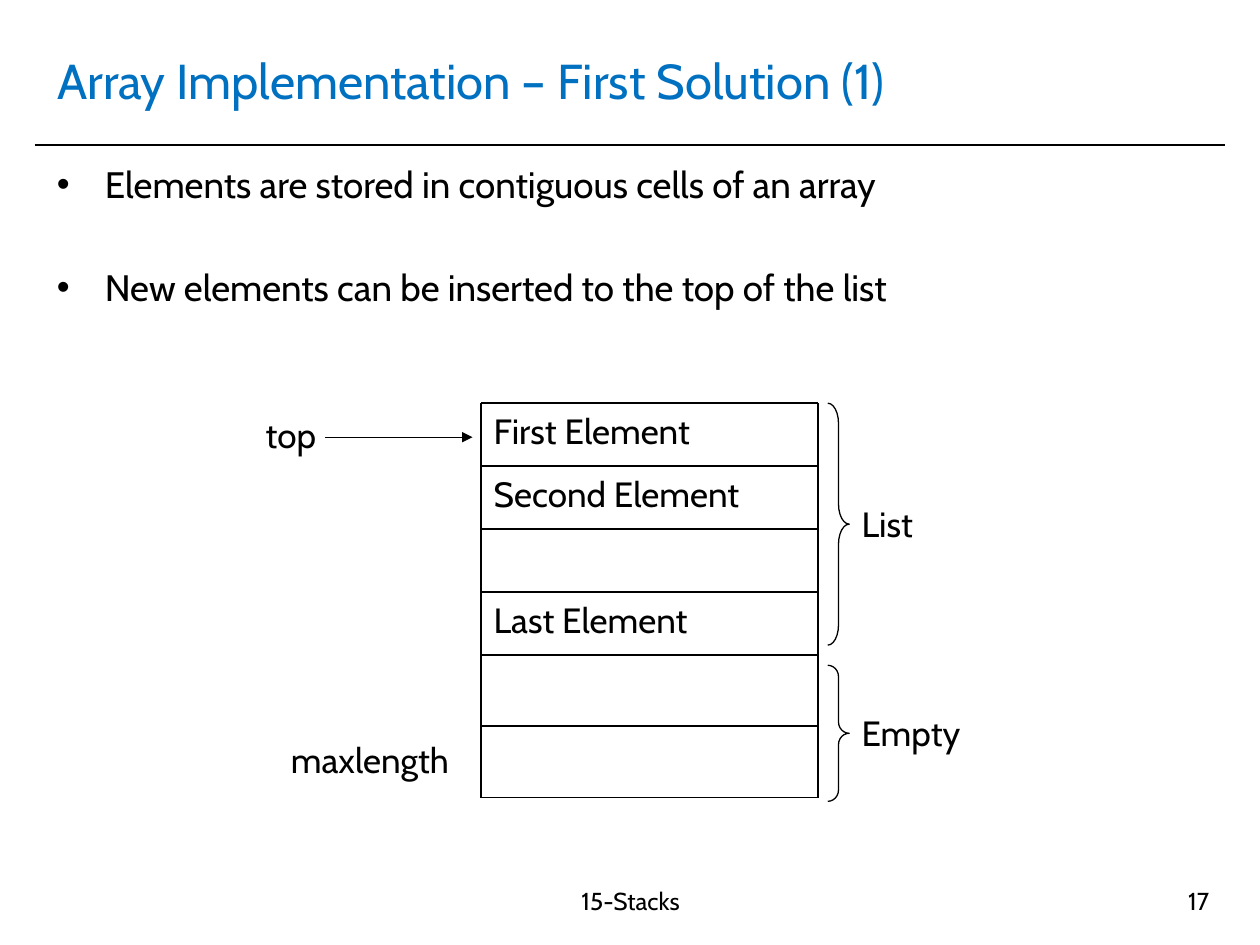
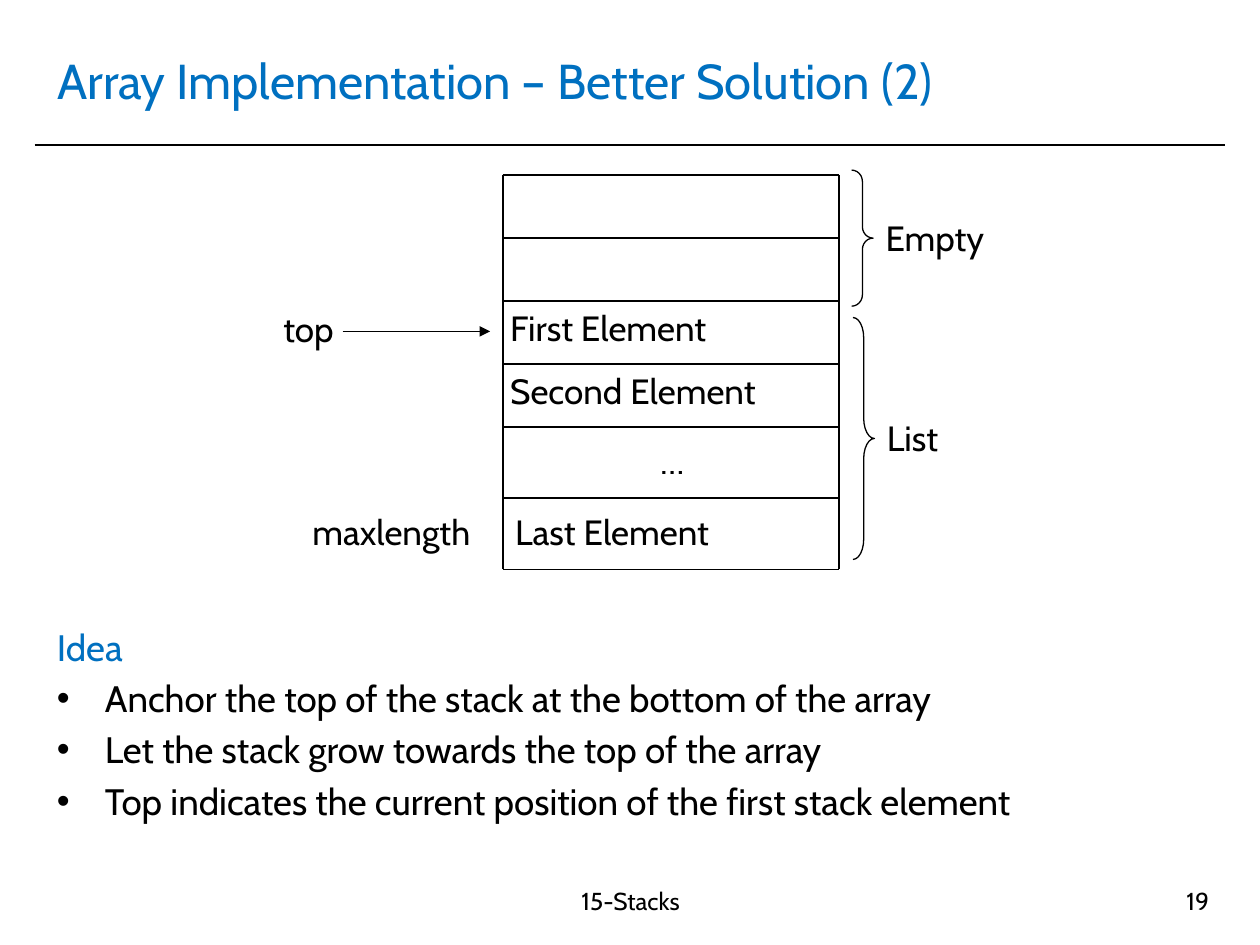
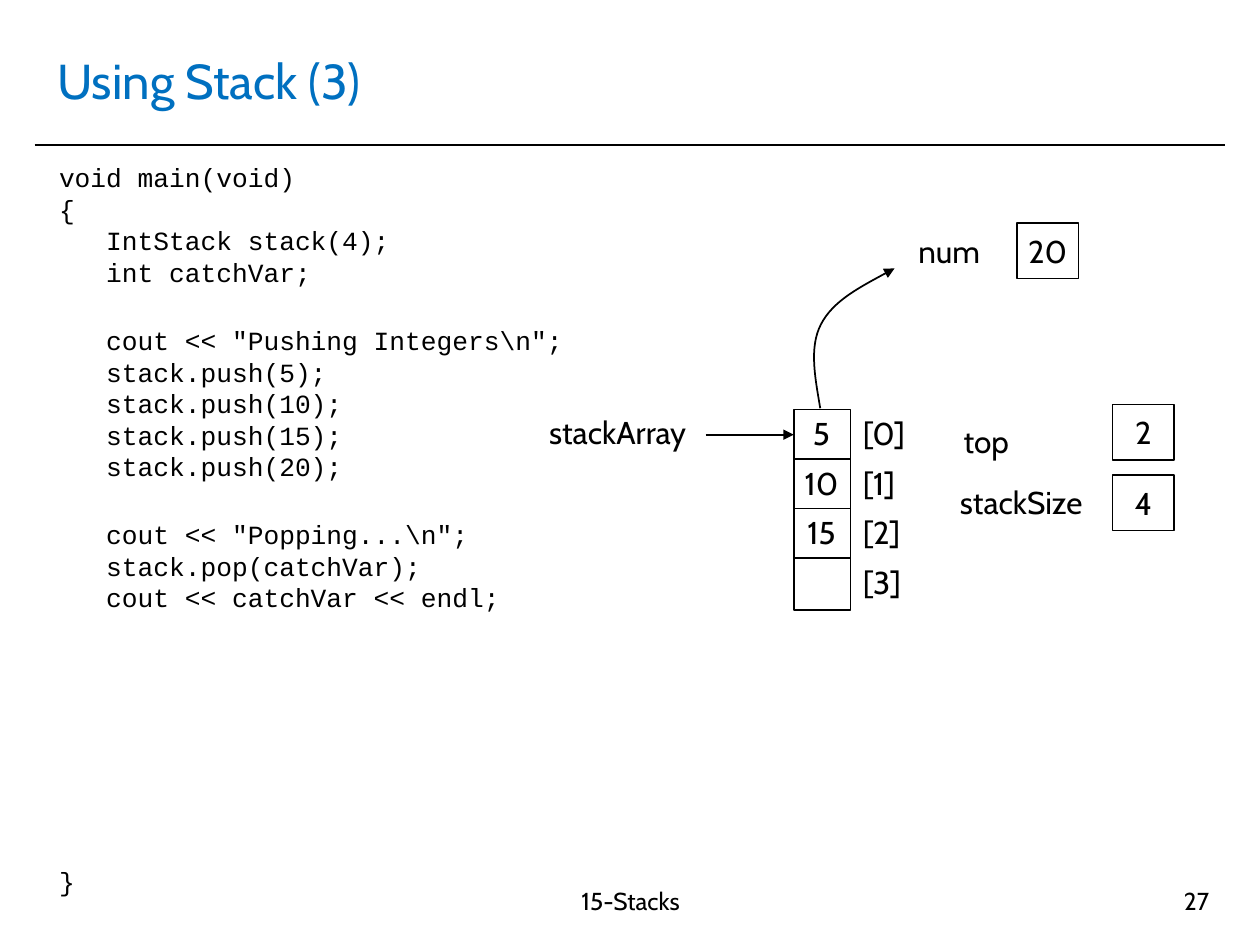
from dataclasses import dataclass
from itertools import accumulate

from lxml.etree import SubElement
from pptx import Presentation
from pptx.dml.color import RGBColor
from pptx.enum.shapes import MSO_CONNECTOR, MSO_SHAPE
from pptx.enum.text import MSO_ANCHOR, MSO_AUTO_SIZE, PP_ALIGN
from pptx.oxml.ns import qn
from pptx.shapes.autoshape import Shape
from pptx.shapes.connector import Connector
from pptx.slide import Slide
from pptx.text.text import TextFrame
from pptx.util import Inches, Pt

SLIDE_WIDTH, SLIDE_HEIGHT = Inches(10), Inches(7.5)
COLUMN, ROW = SLIDE_WIDTH / 100, SLIDE_HEIGHT / 75

BLACK, BLUE = "000000", "0070C0"
BODY_FONT, CODE_FONT = "Cabin", "Courier New"
TITLE_SIZE, BODY_SIZE, LABEL_SIZE = 28, 21, 20
SMALL_LABEL_SIZE, CODE_SIZE, FOOTER_SIZE = 18, 15, 14
CODE_LINE_PITCH = 18
BODY_GAP = 4.2
WIDE_BODY_GAP = 33.6
HANGING_INDENT = Inches(0.38)

ARRAY_WIDTH = 26.7
ARRAY_ROW_HEIGHTS = (5, 5, 5, 5, 5.6, 5.7)
BRACE_WIDTH = 1.7
LABEL_HEIGHT = 4.4

STACK_LEFT, STACK_TOP = 63, 32.5
STACK_WIDTH, STACK_HEIGHT = 4.5, 15.9
STACK_PITCH = 3.93
STACK_VALUES = ("5", "10", "15", "")


@dataclass(frozen=True)
class Area:
    """A rectangle in grid columns and rows."""
    left: float
    top: float
    width: float
    height: float

    def emu(self) -> tuple[int, int, int, int]:
        return (round(self.left * COLUMN), round(self.top * ROW),
                round(self.width * COLUMN), round(self.height * ROW))


@dataclass(frozen=True)
class TextStyle:
    size: float
    color: str = BLACK
    font: str = BODY_FONT
    align: PP_ALIGN = PP_ALIGN.LEFT


@dataclass(frozen=True)
class BodyLine:
    text: str
    bullet: bool = True
    color: str = BLACK
    gap: float = BODY_GAP


@dataclass(frozen=True)
class ArrayCell:
    """A cell's text and its shift from the cell's corner."""
    text: str = ""
    shift_right: float = 0
    shift_down: float = 0
    align: PP_ALIGN = PP_ALIGN.LEFT


@dataclass(frozen=True)
class Brace:
    text: str
    left: float
    top: float
    height: float


@dataclass(frozen=True)
class ArrayDiagram:
    left: float
    top: float
    cells: tuple[ArrayCell, ...]
    braces: tuple[Brace, ...]
    top_label: tuple[float, float]


@dataclass(frozen=True)
class Variable:
    name: str
    name_left: float
    name_top: float
    value: str
    box_left: float
    box_top: float


TITLE_AREA = Area(3.54, 2.1, 92.9, 8.5)
LABEL_STYLE = TextStyle(LABEL_SIZE)
SMALL_LABEL_STYLE = TextStyle(SMALL_LABEL_SIZE)
VALUE_STYLE = TextStyle(SMALL_LABEL_SIZE, align=PP_ALIGN.CENTER)

FIRST_ARRAY = ArrayDiagram(
    38.2, 32,
    (ArrayCell("First Element"), ArrayCell("Second Element"), ArrayCell(),
     ArrayCell("Last Element"), ArrayCell(), ArrayCell()),
    (Brace("List", 65.7, 32, 19.2), Brace("Empty", 65.7, 52.8, 10.8)),
    (20.1, 32.3))
BETTER_ARRAY = ArrayDiagram(
    39.9, 13.9,
    (ArrayCell(), ArrayCell(), ArrayCell("First Element", -0.4, -0.1),
     ArrayCell("Second Element", -0.4, -0.1),
     ArrayCell("…", 0.1, 0.5, PP_ALIGN.CENTER),
     ArrayCell("Last Element", 0, 0.5)),
    (Brace("Empty", 67.6, 13.5, 10.8), Brace("List", 67.7, 25.2, 19.2)),
    (21.5, 23.9))

FIRST_POINTS = (
    BodyLine("Elements are stored in contiguous cells of an array"),
    BodyLine("New elements can be inserted to the top of the list",
             gap=WIDE_BODY_GAP))
BETTER_POINTS = (
    BodyLine("Idea", bullet=False, color=BLUE),
    BodyLine("Anchor the top of the stack at the bottom of the array"),
    BodyLine("Let the stack grow towards the top of the array"),
    BodyLine("Top indicates the current position of the first stack element"))

# Each block of code with the space before it in points.
CODE_BLOCKS = (
    (0, ("void main(void)",
         "{",
         "   IntStack stack(4);",
         "   int catchVar;")),
    (21, ('   cout << "Pushing Integers\\n";',
          "   stack.push(5);",
          "   stack.push(10);",
          "   stack.push(15);",
          "   stack.push(20);")),
    (21, ('   cout << "Popping...\\n";',
          "   stack.pop(catchVar);",
          "   cout << catchVar << endl;")),
    (144, ("}",)))

VARIABLES = (Variable("num", 71.9, 17.9, "20", 80.7, 17.7),
             Variable("top", 75.5, 33, "2", 88.3, 32.1),
             Variable("stackSize", 75.2, 37.85, "4", 88.3, 37.7))
POP_CURVE = ((65.1, 32.4), (64.7, 30), (64.2, 27.6), (65.15, 25.75),
             (66.1, 23.9), (68.6, 22.6), (71, 21.3))


def rgb(color: str) -> RGBColor:
    return RGBColor.from_string(color)


def format_text(frame: TextFrame, style: TextStyle) -> None:
    for para in frame.paragraphs:
        para.alignment = style.align
        for span in para.runs:
            span.font.size = Pt(style.size)
            span.font.name = style.font
            span.font.color.rgb = rgb(style.color)


def add_text(page: Slide, area: Area, text: str, style: TextStyle) -> TextFrame:
    frame = page.shapes.add_textbox(*area.emu()).text_frame
    frame.word_wrap = True
    frame.text = text
    format_text(frame, style)
    return frame


def outline(shape: Shape, weight: float) -> None:
    """Leave only a black outline on the shape."""
    shape.shadow.inherit = False
    shape.fill.background()
    shape.line.color.rgb = rgb(BLACK)
    shape.line.width = Pt(weight)


def add_outlined(page: Slide, kind: MSO_SHAPE, area: Area, weight: float) -> Shape:
    shape = page.shapes.add_shape(kind, *area.emu())
    outline(shape, weight)
    return shape


def add_arrowhead(shape: Shape | Connector) -> None:
    SubElement(shape.line._get_or_add_ln(), qn("a:tailEnd"), type="triangle")


def add_line(page: Slide, left: float, top: float, across: float = 0,
             down: float = 0, weight: float = 1, arrow: bool = False) -> None:
    x, y, width, height = Area(left, top, across, down).emu()
    line = page.shapes.add_connector(
        MSO_CONNECTOR.STRAIGHT, x, y, x + width, y + height)
    line.line.color.rgb = rgb(BLACK)
    line.line.width = Pt(weight)
    if arrow:
        add_arrowhead(line)
    SubElement(line._element.spPr, qn("a:effectLst"))


def add_page(deck: Presentation, title: str, number: int) -> Slide:
    page = deck.slides.add_slide(deck.slide_layouts.get_by_name("Title Only"))
    heading = page.shapes.title
    heading.left, heading.top, heading.width, heading.height = TITLE_AREA.emu()
    frame = heading.text_frame
    frame.text = title
    frame.auto_size = MSO_AUTO_SIZE.NONE
    frame.vertical_anchor = MSO_ANCHOR.MIDDLE
    format_text(frame, TextStyle(TITLE_SIZE, BLUE))
    add_line(page, 2.75, 11.5, across=94.5)
    add_text(page, Area(33.5, 69.8, 33.1, 5.2), "15-Stacks",
             TextStyle(FOOTER_SIZE, align=PP_ALIGN.CENTER))
    add_text(page, Area(73.65, 69.8, 23.3, 5.2), str(number),
             TextStyle(FOOTER_SIZE, align=PP_ALIGN.RIGHT))
    return page


def add_body(page: Slide, area: Area, lines: tuple[BodyLine, ...]) -> None:
    frame = add_text(page, area, "\n".join(line.text for line in lines),
                     TextStyle(BODY_SIZE))
    for index, (para, line) in enumerate(zip(frame.paragraphs, lines)):
        if line.bullet:
            properties = para._p.get_or_add_pPr()
            properties.set("marL", str(HANGING_INDENT))
            properties.set("indent", str(-HANGING_INDENT))
            bullet_color = SubElement(properties, qn("a:buClr"))
            SubElement(bullet_color, qn("a:srgbClr"), val=BLACK)
            SubElement(properties, qn("a:buFont"), typeface="Arial")
            SubElement(properties, qn("a:buChar"), char="•")
        if index:
            para.space_before = Pt(line.gap)
        para.runs[0].font.color.rgb = rgb(line.color)


def add_brace(page: Slide, brace: Brace) -> None:
    """Draw a right brace with its label beside the tip."""
    area = Area(brace.left, brace.top, BRACE_WIDTH, brace.height)
    shape = add_outlined(page, MSO_SHAPE.RIGHT_BRACE, area, 0.75)
    shape.adjustments[0] = brace.height / 12 / BRACE_WIDTH
    label_top = brace.top + (brace.height - LABEL_HEIGHT) / 2
    add_text(page, Area(brace.left + BRACE_WIDTH, label_top, 11.7, LABEL_HEIGHT),
             brace.text, LABEL_STYLE)


def add_array(page: Slide, diagram: ArrayDiagram) -> None:
    row_tops = list(accumulate(ARRAY_ROW_HEIGHTS, initial=diagram.top))
    for cell, top in zip(diagram.cells, row_tops):
        if cell.text:
            area = Area(diagram.left + cell.shift_right, top + cell.shift_down,
                        ARRAY_WIDTH, 5)
            add_text(page, area, cell.text, TextStyle(LABEL_SIZE, align=cell.align))
    for top in row_tops:
        add_line(page, diagram.left, top, across=ARRAY_WIDTH)
    for side in (diagram.left, diagram.left + ARRAY_WIDTH):
        add_line(page, side, diagram.top, down=sum(ARRAY_ROW_HEIGHTS))
    for brace in diagram.braces:
        add_brace(page, brace)
    add_text(page, Area(diagram.left - 16.1, row_tops[-2] + 0.5, 16.1, LABEL_HEIGHT),
             "maxlength", LABEL_STYLE)
    left, top = diagram.top_label
    add_line(page, left + 5.7, top + 2.4, across=11.7, weight=0.75, arrow=True)
    add_text(page, Area(left, top, 9.9, LABEL_HEIGHT), "top", LABEL_STYLE)


def add_code(page: Slide, area: Area) -> None:
    lines = [(text, 0 if index else gap)
             for gap, block in CODE_BLOCKS for index, text in enumerate(block)]
    frame = add_text(page, area, "\n".join(text for text, _ in lines),
                     TextStyle(CODE_SIZE, font=CODE_FONT))
    for para, (_, gap) in zip(frame.paragraphs, lines):
        para.line_spacing = Pt(CODE_LINE_PITCH)
        if gap:
            para.space_before = Pt(gap)


def add_variable(page: Slide, variable: Variable) -> None:
    add_text(page, Area(variable.name_left, variable.name_top, 14.9, 4),
             variable.name, SMALL_LABEL_STYLE)
    area = Area(variable.box_left, variable.box_top, 4.9, 4.4)
    frame = add_outlined(page, MSO_SHAPE.RECTANGLE, area, 1).text_frame
    frame.text = variable.value
    frame.margin_left = frame.margin_right = 0
    frame.margin_top = frame.margin_bottom = 0
    frame.vertical_anchor = MSO_ANCHOR.MIDDLE
    format_text(frame, VALUE_STYLE)


def add_curved_arrow(page: Slide, points: tuple[tuple[float, float], ...]) -> None:
    """Draw cubic curves through a start point and groups of three points."""
    start, *rest = [(round(x * COLUMN), round(y * ROW)) for x, y in points]
    builder = page.shapes.build_freeform(*start)
    builder.add_line_segments(rest, close=False)
    shape = builder.convert_to_shape()
    outline(shape, 1)
    add_arrowhead(shape)
    route = shape._element.find(".//" + qn("a:path"))
    segments = route.findall(qn("a:lnTo"))
    for first in range(0, len(segments), 3):
        curve = SubElement(route, qn("a:cubicBezTo"))
        for segment in segments[first:first + 3]:
            curve.append(segment[0])
            route.remove(segment)


def add_stack(page: Slide) -> None:
    add_outlined(page, MSO_SHAPE.RECTANGLE,
                 Area(STACK_LEFT, STACK_TOP, STACK_WIDTH, STACK_HEIGHT), 1)
    for index, value in enumerate(STACK_VALUES):
        top = STACK_TOP + index * STACK_PITCH
        if index:
            add_line(page, STACK_LEFT, top, across=STACK_WIDTH)
        if value:
            add_text(page, Area(STACK_LEFT - 0.5, top - 0.1, STACK_WIDTH + 0.9, 4),
                     value, VALUE_STYLE)
        add_text(page, Area(STACK_LEFT + STACK_WIDTH, top - 0.1, 7.1, 4),
                 f"[{index}]", SMALL_LABEL_STYLE)
    add_text(page, Area(42.6, 32.3, 15, 4), "stackArray", SMALL_LABEL_STYLE)
    add_line(page, 56, 34.5, across=7, arrow=True)


def main() -> None:
    deck = Presentation()
    deck.slide_width, deck.slide_height = SLIDE_WIDTH, SLIDE_HEIGHT

    page = add_page(deck, "Array Implementation – First Solution (1)", 17)
    add_body(page, Area(3.54, 12.35, 92.9, 14), FIRST_POINTS)
    add_array(page, FIRST_ARRAY)

    page = add_page(deck, "Array Implementation – Better Solution (2)", 19)
    add_body(page, Area(3.54, 49.05, 92.9, 19.2), BETTER_POINTS)
    add_array(page, BETTER_ARRAY)

    page = add_page(deck, "Using Stack (3)", 27)
    add_code(page, Area(3.7, 12.33, 65.2, 59))
    add_stack(page)
    for variable in VARIABLES:
        add_variable(page, variable)
    add_curved_arrow(page, POP_CURVE)

    deck.save("out.pptx")


if __name__ == "__main__":
    main()
